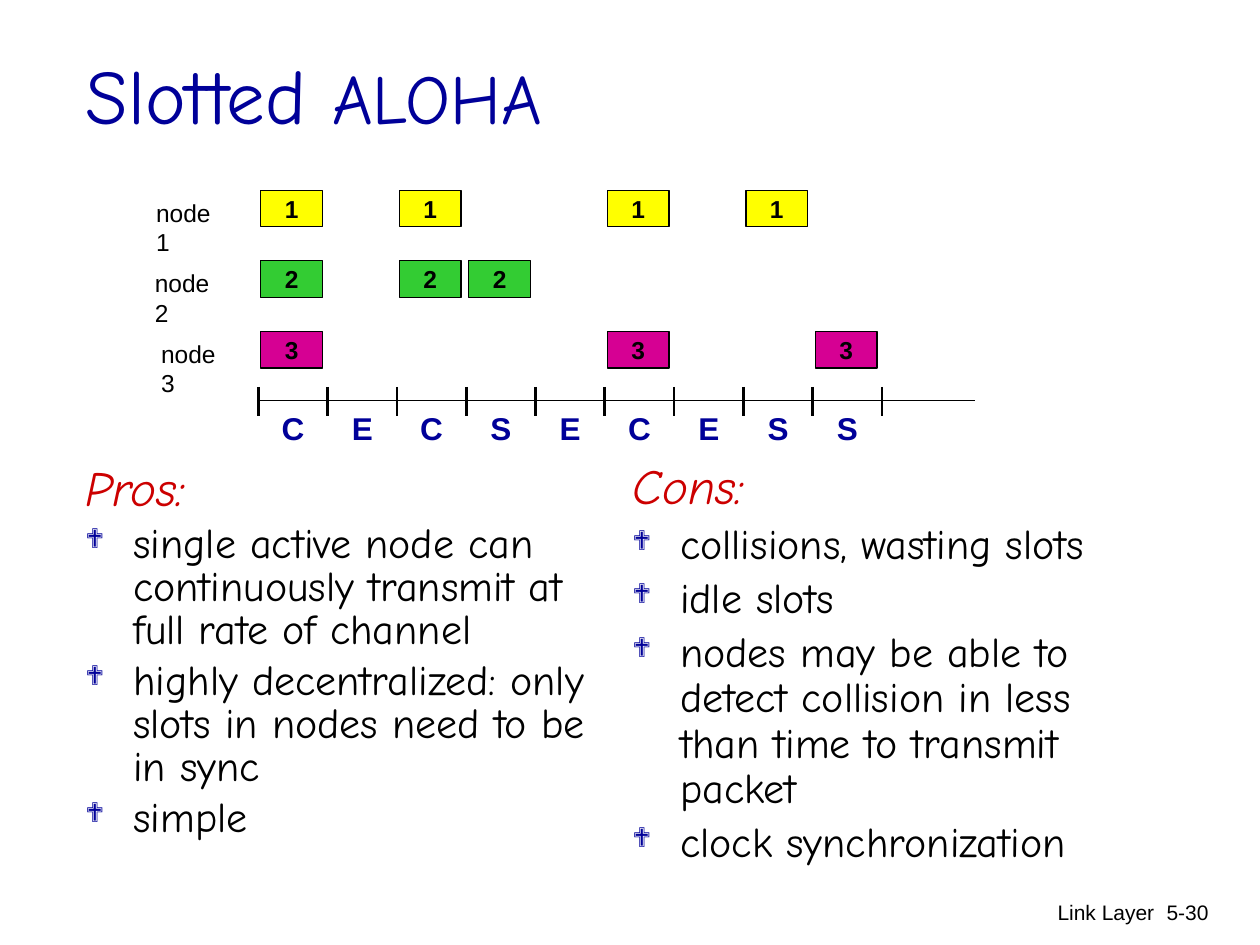
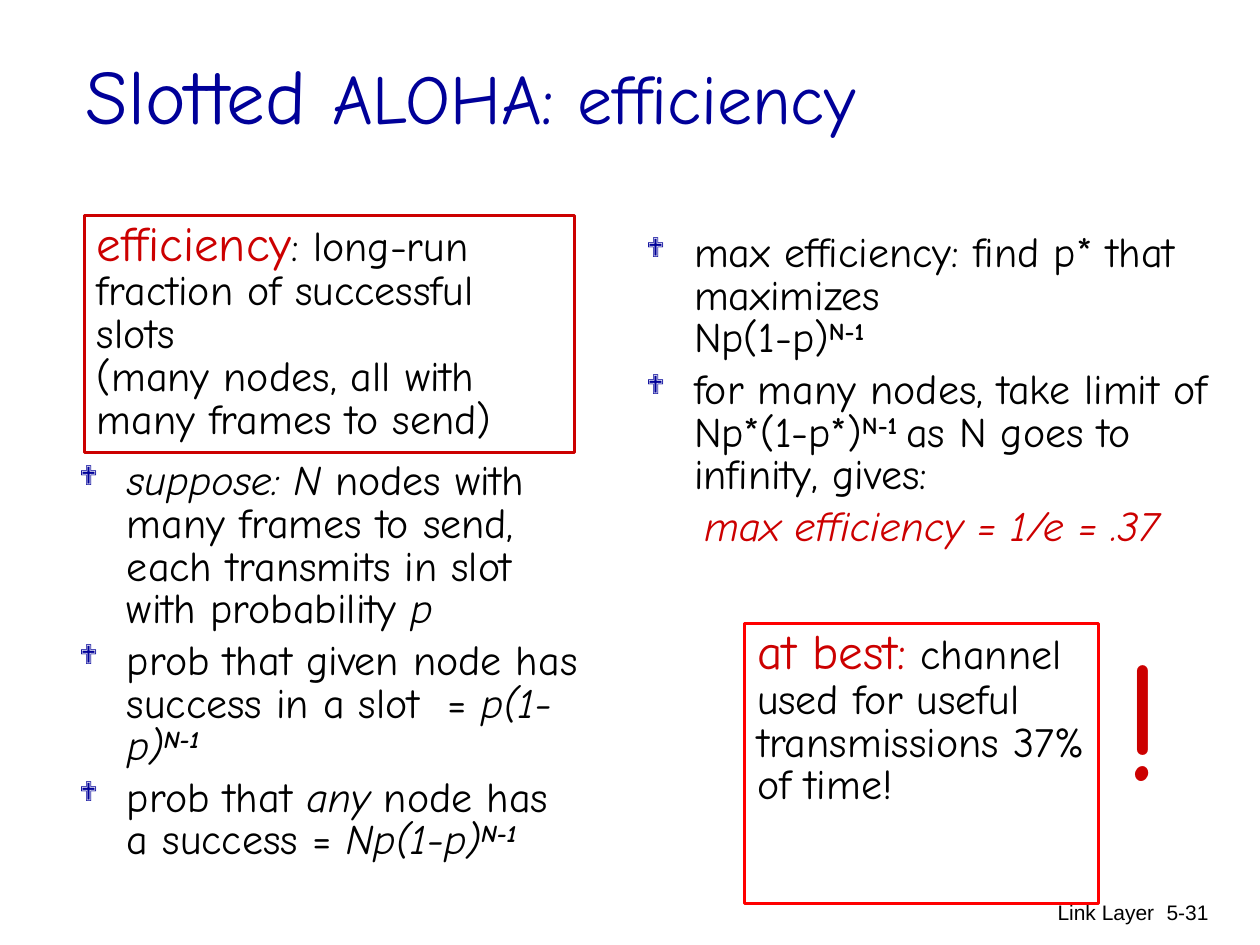
from lxml import etree
from pptx import Presentation
from pptx.dml.color import RGBColor
from pptx.enum.shapes import MSO_CONNECTOR, MSO_SHAPE
from pptx.enum.text import MSO_ANCHOR, MSO_AUTO_SIZE, PP_ALIGN
from pptx.oxml.ns import qn
from pptx.util import Inches, Pt

LEFT, CENTER, RIGHT = PP_ALIGN.LEFT, PP_ALIGN.CENTER, PP_ALIGN.RIGHT
TOP, MIDDLE = MSO_ANCHOR.TOP, MSO_ANCHOR.MIDDLE
NO_AUTOSIZE = MSO_AUTO_SIZE.NONE
RECTANGLE, STRAIGHT = MSO_SHAPE.RECTANGLE, MSO_CONNECTOR.STRAIGHT

COLORS = {"navy": "000099", "red": "CC0000", "bright red": "FF0000", "black": "000000",
          "yellow": "FFFF00", "green": "33CC33", "magenta": "D60093"}
HAND, SANS = "Comic Neue", "Arial"
TITLE_ONLY = 5
HANG = 0.38
SLOT_LEFT, SLOT_PITCH = 2.05, 0.55
OUTCOMES = "CECSECESS"
LANES = [
    ("1", 1.14, 1.51, "yellow", [0, 2, 5, 7]),
    ("2", 1.13, 2.07, "green", [0, 2, 3]),
    ("3", 1.18, 2.63, "magenta", [0, 5, 8]),
]
ITALIC = {"italic": True}
POWER = {"bold": True, "raised": True}
ITALIC_POWER = {**ITALIC, **POWER}
HEADING = {"size": 28, "color": "red"}


def rgb(name):
    return RGBColor.from_string(COLORS[name])


def style(font, size, color="black", face=HAND, bold=False, italic=False):
    font.name, font.size = face, Pt(size)
    font.bold, font.italic = bold, italic
    font.color.rgb = rgb(color)


def add_span(para, text, raised=False, **look):
    for number, line in enumerate(text.split("\n")):
        if number:
            para.add_line_break()
        span = para.add_run()
        span.text = line
        if look or raised:
            style(span.font, **{"size": 24, **look})
        if raised:
            span.font._element.set("baseline", "30000")


def fill_para(para, spans, size=24, spacing=None, before=0, align=LEFT, **look):
    style(para.font, size, **look)
    para.alignment = align
    para.space_before = Pt(before)
    if spacing:
        para.line_spacing = spacing
    for span in [spans] if isinstance(spans, str) else spans:
        if isinstance(span, str):
            add_span(para, span)
        else:
            add_span(para, span[0], **span[1])


def next_para(frame):
    first = frame.paragraphs[0]
    return frame.add_paragraph() if first.runs else first


def set_indent(para, left, first=0.0):
    props = para._p.get_or_add_pPr()
    props.set("marL", str(Inches(left)))
    props.set("indent", str(Inches(first)))
    return props


def add_bullet(para):
    props = set_indent(para, HANG, -HANG)
    color = etree.SubElement(props, qn("a:buClr"))
    etree.SubElement(color, qn("a:srgbClr"), val=COLORS["navy"])
    etree.SubElement(props, qn("a:buSzPct"), val="65000")
    etree.SubElement(props, qn("a:buFont"), typeface="Wingdings")
    etree.SubElement(props, qn("a:buChar"), char="❖")


def add_text(page, at, spans="", wrap=True, **look):
    box = page.shapes.add_textbox(*map(Inches, at))
    box.text_frame.word_wrap = wrap
    if spans:
        fill_para(box.text_frame.paragraphs[0], spans, **look)
    return box.text_frame


def add_list(page, at, items, heading=None, spacing=0.85):
    frame = add_text(page, at)
    if heading:
        fill_para(next_para(frame), heading, 28, spacing, 5.6, color="red", italic=True)
    for item in items:
        para = next_para(frame)
        fill_para(para, item, spacing=spacing, before=4.8)
        add_bullet(para)
    return frame


def add_rectangle(page, at, line, width, fill=None):
    box = page.shapes.add_shape(RECTANGLE, *map(Inches, at))
    box.shadow.inherit = False
    box.line.color.rgb, box.line.width = rgb(line), Pt(width)
    if fill:
        box.fill.solid()
        box.fill.fore_color.rgb = rgb(fill)
    else:
        box.fill.background()
    return box


def add_callout(page, at, line, paragraphs):
    frame = add_rectangle(page, at, line, 2).text_frame
    frame.word_wrap, frame.vertical_anchor = True, TOP
    for spans in paragraphs:
        fill_para(next_para(frame), spans, spacing=0.85)


def add_frame(page, at, number, color):
    frame = add_rectangle(page, at, "black", 0.75, color).text_frame
    frame.margin_left = frame.margin_right = frame.margin_top = frame.margin_bottom = 0
    frame.vertical_anchor = MIDDLE
    fill_para(frame.paragraphs[0], number, 14, face=SANS, bold=True, align=CENTER)


def add_line(page, start, end, width):
    line = page.shapes.add_connector(STRAIGHT, *map(Inches, start + end))
    line.line.color.rgb, line.line.width = rgb("black"), Pt(width)
    etree.SubElement(line._element.spPr, qn("a:effectLst"))


def add_page(deck, topic, width, number):
    page = deck.slides.add_slide(deck.slide_layouts[TITLE_ONLY])
    title = page.shapes.title
    title.left, title.top, title.width, title.height = map(Inches, (0.58, 0.12, width, 1.25))
    frame = title.text_frame
    frame.auto_size, frame.vertical_anchor = NO_AUTOSIZE, MIDDLE
    fill_para(frame.paragraphs[0],
              ["Slotted ", (topic, {"size": 40, "color": "navy"})], 44, color="navy")
    for at, text in (((6.09, 7.09, 3.17, 0.5), "Link Layer"),
                     ((8.95, 7.09, 0.74, 0.5), number)):
        add_text(page, at, text, size=12, face=SANS, align=RIGHT)
    return page


def add_timeline(page):
    for number, label_left, top, color, slots in LANES:
        add_text(page, (label_left, top + 0.01, 0.79, 0.33), f"node {number}",
                 wrap=False, size=14, face=SANS)
        for slot in slots:
            left = SLOT_LEFT + 0.02 + slot * SLOT_PITCH
            add_frame(page, (left, top, 0.49, 0.29), number, color)
    add_line(page, (SLOT_LEFT, 3.18), (7.74, 3.18), 0.75)
    for tick in range(len(OUTCOMES) + 1):
        x = SLOT_LEFT + tick * SLOT_PITCH
        add_line(page, (x, 3.07), (x, 3.3), 1.5)
    for slot, outcome in enumerate(OUTCOMES):
        left = SLOT_LEFT + slot * SLOT_PITCH
        add_text(page, (left, 3.2, SLOT_PITCH, 0.4), outcome, size=18, color="navy",
                 face=SANS, bold=True, align=CENTER)


def build_overview(deck):
    page = add_page(deck, "ALOHA", 5.42, "5-30")
    add_list(page, (0.58, 3.65, 4.17, 3.5), [
        "single active node can continuously transmit at full rate of channel",
        "highly decentralized: only slots in nodes need to be in sync",
        "simple",
    ], "Pros:")
    add_list(page, (4.92, 3.62, 4.17, 3.5), [
        "collisions, wasting slots",
        "idle slots",
        "nodes may be able to detect collision in less than time to transmit packet",
        "clock synchronization",
    ], "Cons:", 0.9)
    add_timeline(page)


def build_efficiency(deck):
    page = add_page(deck, "ALOHA: efficiency", 8.31, "5-31")
    add_list(page, (0.53, 3.61, 4.17, 3.42), [
        [("suppose: N", ITALIC),
         " nodes with many frames to send, each transmits in slot with probability ",
         ("p", ITALIC)],
        ["prob that given node has success in a slot  = ",
         ("p(1-p)", ITALIC), ("N-1", ITALIC_POWER)],
        ["prob that ", ("any", ITALIC), " node has a success = ",
         ("Np(1-p)", ITALIC), ("N-1", ITALIC_POWER)],
    ])
    limits = add_list(page, (5.03, 1.8, 4.75, 3.54), [
        ["max efficiency: find p* that maximizes \nNp(1-p)", ("N-1", POWER)],
        ["for many nodes, take limit of Np*(1-p*)", ("N-1 ", POWER),
         "as N goes to infinity, gives:"],
    ])
    result = next_para(limits)
    fill_para(result, "max efficiency = 1/e = .37", spacing=0.85, before=4.8,
              color="red", italic=True)
    set_indent(result, 0.46)
    add_callout(page, (0.67, 1.71, 3.89, 1.88), "red", [
        [("efficiency", HEADING),
         ": long-run \nfraction of successful slots \n(many nodes, all with many frames to send)"],
    ])
    add_callout(page, (5.91, 4.95, 2.81, 2.22), "bright red", [
        [("at best:", HEADING), " channel"],
        "used for useful", "transmissions 37%", "of time!",
    ])
    add_text(page, (8.8, 4.81, 0.53, 1.7), "!", wrap=False, size=96, color="red")


def main():
    deck = Presentation()
    deck.slide_width, deck.slide_height = Inches(10), Inches(7.5)
    build_overview(deck)
    build_efficiency(deck)
    deck.save("out.pptx")


if __name__ == "__main__":
    main()
